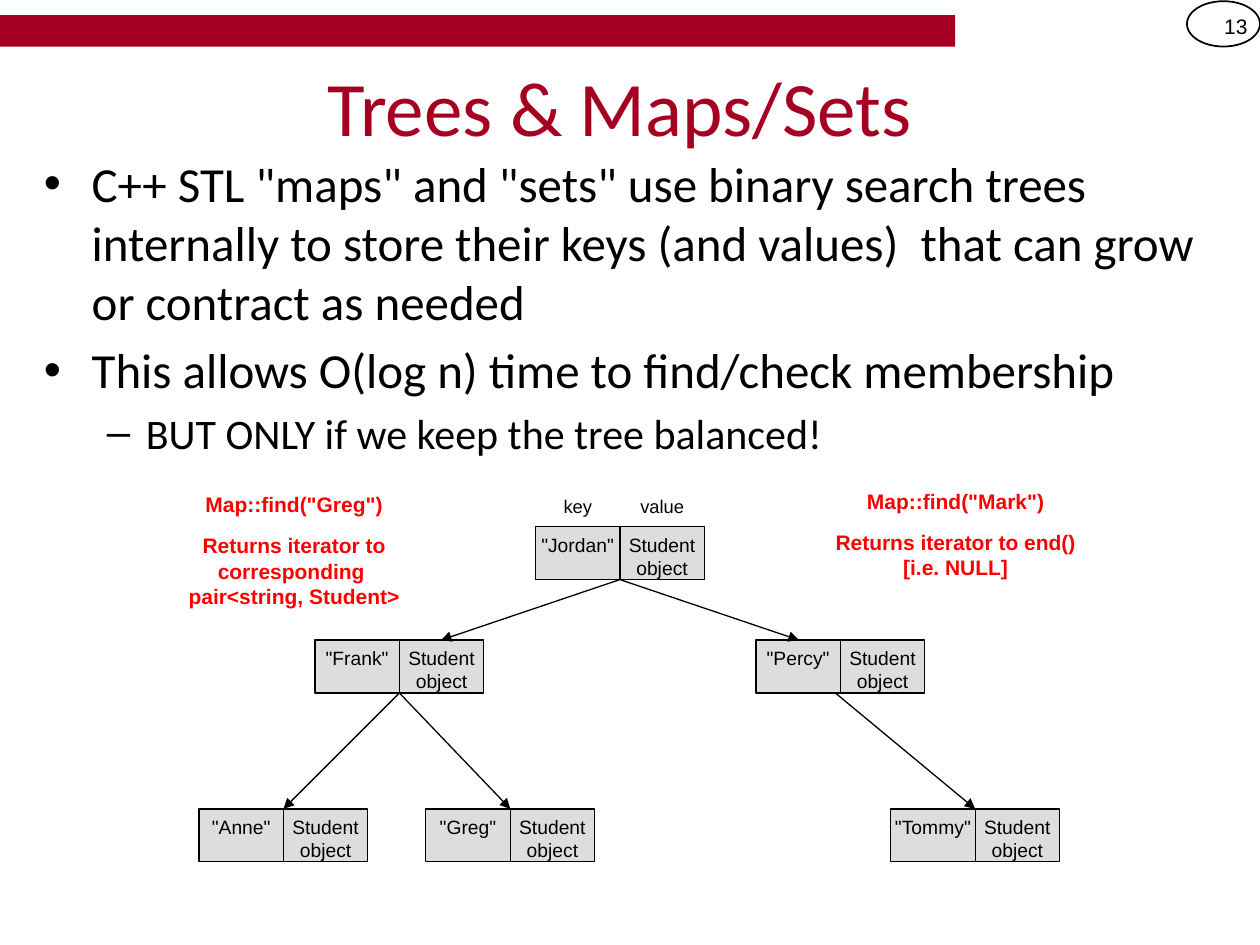
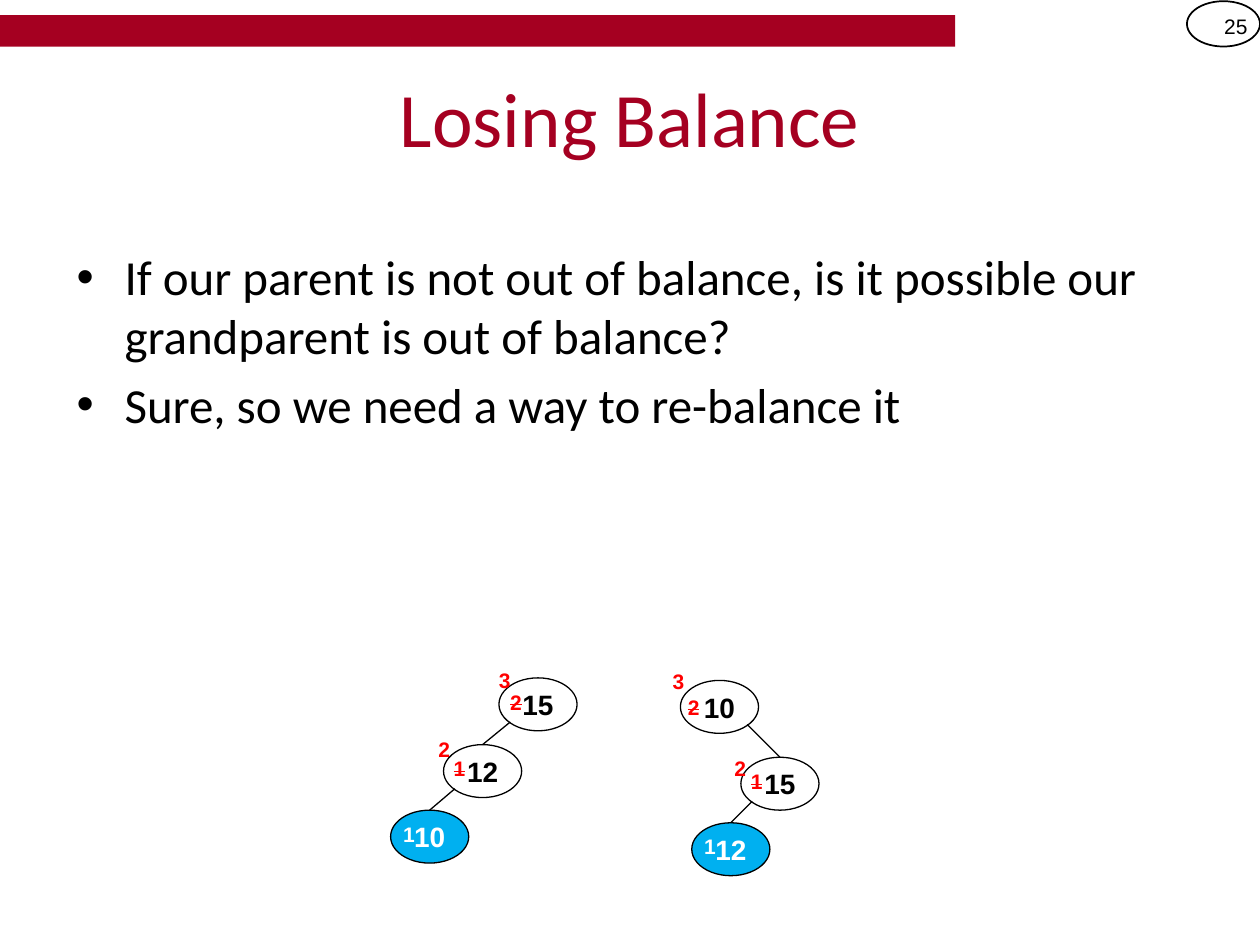
from copy import deepcopy

from lxml import etree
from pptx import Presentation
from pptx.dml.color import RGBColor
from pptx.enum.shapes import MSO_CONNECTOR, MSO_SHAPE
from pptx.enum.text import MSO_ANCHOR, MSO_AUTO_SIZE, PP_ALIGN
from pptx.oxml.ns import qn
from pptx.util import Inches, Pt

CARDINAL = RGBColor(0xA5, 0x00, 0x21)
BLACK = RGBColor(0x00, 0x00, 0x00)
WHITE = RGBColor(0xFF, 0xFF, 0xFF)
RED = RGBColor(0xFF, 0x00, 0x00)
BLUE = RGBColor(0x00, 0xB0, 0xF0)
GRAY = RGBColor(0xDD, 0xDD, 0xDD)

# Content: maps and sets
MAPS_BULLETS = [
    (0, 'C++ STL "maps" and "sets" use binary search trees internally to store '
        'their keys (and values)  that can grow or contract as needed '),
    (0, "This allows O(log n) time to find/check membership"),
    (1, "BUT ONLY if we keep the tree balanced!"),
]
# key: left and top of its pair of cells
PAIRS = {
    "Jordan": (4.25, 4.18),
    "Frank": (2.5, 5.08),
    "Percy": (6, 5.08),
    "Anne": (1.58, 6.42),
    "Greg": (3.38, 6.42),
    "Tommy": (7.07, 6.42),
}
# parent, child, shift of the start and of the end from the middle of the pair
PAIR_LINKS = [
    ("Jordan", "Frank", 0, 0.33),
    ("Jordan", "Percy", 0, -0.33),
    ("Frank", "Anne", 0, 0),
    ("Frank", "Greg", 0, 0),
    ("Percy", "Tommy", -0.04, 0),
]
FIND_NOTES = [
    ('Map::find("Greg")', (1.42, 3.85, 1.83, 0.3)),
    ('Map::find("Mark")', (6.67, 3.83, 1.83, 0.3)),
    ("Returns iterator to corresponding \vpair<string, Student>",
     (1.17, 4.18, 2.33, 0.71)),
    ("Returns iterator to end() [i.e. NULL]", (6.42, 4.15, 2.33, 0.5)),
]

# Content: losing balance
BALANCE_BULLETS = [
    (0, "If our parent is not out of balance, is it possible our grandparent "
        "is out of balance?"),
    (0, "Sure, so we need a way to re-balance it"),
]
# Each tree from the root down: value, position, height and its position,
# new height and its position (None for the added leaf)
TREES = [
    [("15", (3.96, 5.38), "2", (3.87, 5.42), "3", (3.78, 5.25)),
     ("12", (3.52, 5.91), "1", (3.42, 5.95), "2", (3.3, 5.8)),
     ("10", (3.1, 6.43), "1", (3.02, 6.47), None, None)],
    [("10", (5.4, 5.4), "2", (5.28, 5.46), "3", (5.16, 5.26)),
     ("15", (5.88, 6.01), "1", (5.78, 6.05), "2", (5.65, 5.95)),
     ("12", (5.49, 6.53), "1", (5.41, 6.57), None, None)],
]

CELL_WIDTH, CELL_HEIGHT = 0.67, 0.42
NODE_WIDTH, NODE_HEIGHT = 0.62, 0.42
# level: size, left margin, hanging indent, bullet
BULLET_LEVELS = [(28, 0.38, -0.38, "\u2022"), (24, 0.81, -0.31, "\u2013")]


def write_text(shape, text, size=12, font="Arial", color=BLACK, bold=False,
               strike=False, align=PP_ALIGN.CENTER, anchor=MSO_ANCHOR.TOP,
               wrap=True, side_inset=0.1, grow=False, first=True):
    """Put one formatted paragraph in a shape and return it."""
    frame = shape.text_frame
    frame.word_wrap = wrap
    frame.auto_size = MSO_AUTO_SIZE.SHAPE_TO_FIT_TEXT if grow else MSO_AUTO_SIZE.NONE
    frame.vertical_anchor = anchor
    frame.margin_left = frame.margin_right = Inches(side_inset)
    paragraph = frame.paragraphs[0] if first else frame.add_paragraph()
    paragraph.text = text
    paragraph.alignment = align
    for run in paragraph.runs:
        run.font.size = Pt(size)
        run.font.name = font
        run.font.bold = bold
        run.font.color.rgb = color
        if strike:
            run.font._element.set("strike", "sngStrike")
    # Line breaks take the format of the text around them
    for line_break in paragraph._p.findall(qn("a:br")):
        line_break.append(deepcopy(paragraph.runs[0].font._element))
    return paragraph


def add_text(slide, text, box, **text_format):
    shape = slide.shapes.add_textbox(*map(Inches, box))
    write_text(shape, text, **text_format)
    return shape


def add_shape(slide, kind, box, fill=None, line=BLACK, width=0.75):
    shape = slide.shapes.add_shape(kind, *map(Inches, box))
    shape.shadow.inherit = False
    if fill is None:
        shape.fill.background()
    else:
        shape.fill.solid()
        shape.fill.fore_color.rgb = fill
    if line is None:
        shape.line.fill.background()
    else:
        shape.line.color.rgb = line
        shape.line.width = Pt(width)
    return shape


def add_line(slide, start, end, arrow=False):
    connector = slide.shapes.add_connector(
        MSO_CONNECTOR.STRAIGHT, *map(Inches, (*start, *end)))
    connector.line.color.rgb = BLACK
    connector.line.width = Pt(0.75)
    if arrow:
        etree.SubElement(connector.line._get_or_add_ln(), qn("a:tailEnd"),
                         type="triangle")
    etree.SubElement(connector._element.spPr, qn("a:effectLst"))


def add_bullets(slide, bullets, box):
    shape = slide.shapes.add_textbox(*map(Inches, box))
    for index, (level, text) in enumerate(bullets):
        size, margin, indent, bullet = BULLET_LEVELS[level]
        paragraph = write_text(shape, text, size=size, font="Calibri",
                               align=PP_ALIGN.LEFT, first=index == 0)
        paragraph.level = level
        paragraph.space_before = Pt(size * 0.2)
        properties = paragraph._p.get_or_add_pPr()
        properties.set("marL", str(Inches(margin)))
        properties.set("indent", str(Inches(indent)))
        etree.SubElement(properties, qn("a:buFont"), typeface="Arial")
        etree.SubElement(properties, qn("a:buChar"), char=bullet)


def start_slide(presentation, number, title, title_box):
    """Add a slide with the band, numbered oval and title."""
    slide = presentation.slides.add_slide(presentation.slide_layouts[6])
    add_text(slide, number, (9.42, 0.01, 0.58, 0.4), align=PP_ALIGN.RIGHT,
             anchor=MSO_ANCHOR.MIDDLE)
    add_shape(slide, MSO_SHAPE.RECTANGLE, (0, 0.12, 7.58, 0.25), CARDINAL, None)
    add_shape(slide, MSO_SHAPE.OVAL, (9.42, 0.01, 0.58, 0.36), width=1)
    add_text(slide, title, title_box, size=44, font="Calibri", color=CARDINAL,
             anchor=MSO_ANCHOR.MIDDLE)
    return slide


presentation = Presentation()
presentation.slide_width = Inches(10)
presentation.slide_height = Inches(7.5)

# Maps and sets: a search tree of key and value pairs
slide = start_slide(presentation, "13", "Trees & Maps/Sets", (0.42, 0.34, 9, 1))
add_bullets(slide, MAPS_BULLETS, (0.25, 1.17, 9.33, 2.67))
for key, (left, top) in PAIRS.items():
    for column, text in enumerate((f'"{key}"', "Student\vobject")):
        cell = add_shape(
            slide, MSO_SHAPE.RECTANGLE,
            (left + column * CELL_WIDTH, top, CELL_WIDTH, CELL_HEIGHT), GRAY)
        write_text(cell, text, size=11, wrap=False)

# Column headings above the root
root_left, root_top = PAIRS["Jordan"]
for column, heading in enumerate(("key", "value")):
    left = root_left + column * CELL_WIDTH + (CELL_WIDTH - 0.42) / 2
    add_text(slide, heading, (left, root_top - 0.33, 0.42, 0.33), size=10.5,
             anchor=MSO_ANCHOR.MIDDLE, side_inset=0)

for parent, child, start_shift, end_shift in PAIR_LINKS:
    parent_left, parent_top = PAIRS[parent]
    child_left, child_top = PAIRS[child]
    add_line(slide,
             (parent_left + CELL_WIDTH + start_shift, parent_top + CELL_HEIGHT),
             (child_left + CELL_WIDTH + end_shift, child_top), arrow=True)
for text, box in FIND_NOTES:
    add_text(slide, text, box, color=RED, bold=True, grow=True)

# Losing balance: two trees with old and new heights
slide = start_slide(presentation, "25", "Losing Balance", (0.5, 0.3, 9, 1.25))
add_bullets(slide, BALANCE_BULLETS, (0.51, 1.91, 9.05, 2.75))
for tree in TREES:
    for value, position, *_, new_height, _ in tree:
        is_leaf = new_height is None
        node = add_shape(slide, MSO_SHAPE.OVAL,
                         (*position, NODE_WIDTH, NODE_HEIGHT),
                         BLUE if is_leaf else WHITE)
        write_text(node, value, size=16, color=WHITE if is_leaf else BLACK,
                   bold=True, anchor=MSO_ANCHOR.MIDDLE, side_inset=0)

    # Edges leave from the side of the parent that faces the child
    for parent, child in zip(tree, tree[1:]):
        (parent_left, parent_top), (child_left, child_top) = parent[1], child[1]
        side = 0.09 if child_left < parent_left else NODE_WIDTH - 0.09
        add_line(slide, (parent_left + side, parent_top + 0.35),
                 (child_left + NODE_WIDTH / 2, child_top))

    # Replaced heights are struck through
    for _, _, height, height_at, new_height, new_height_at in tree:
        is_leaf = new_height is None
        label = {"bold": True, "align": PP_ALIGN.RIGHT, "grow": True}
        add_text(slide, height, (*height_at, 0.37, 0.3),
                 color=WHITE if is_leaf else RED, strike=not is_leaf, **label)
        if not is_leaf:
            add_text(slide, new_height, (*new_height_at, 0.37, 0.3), color=RED,
                     **label)

presentation.save("out.pptx")
